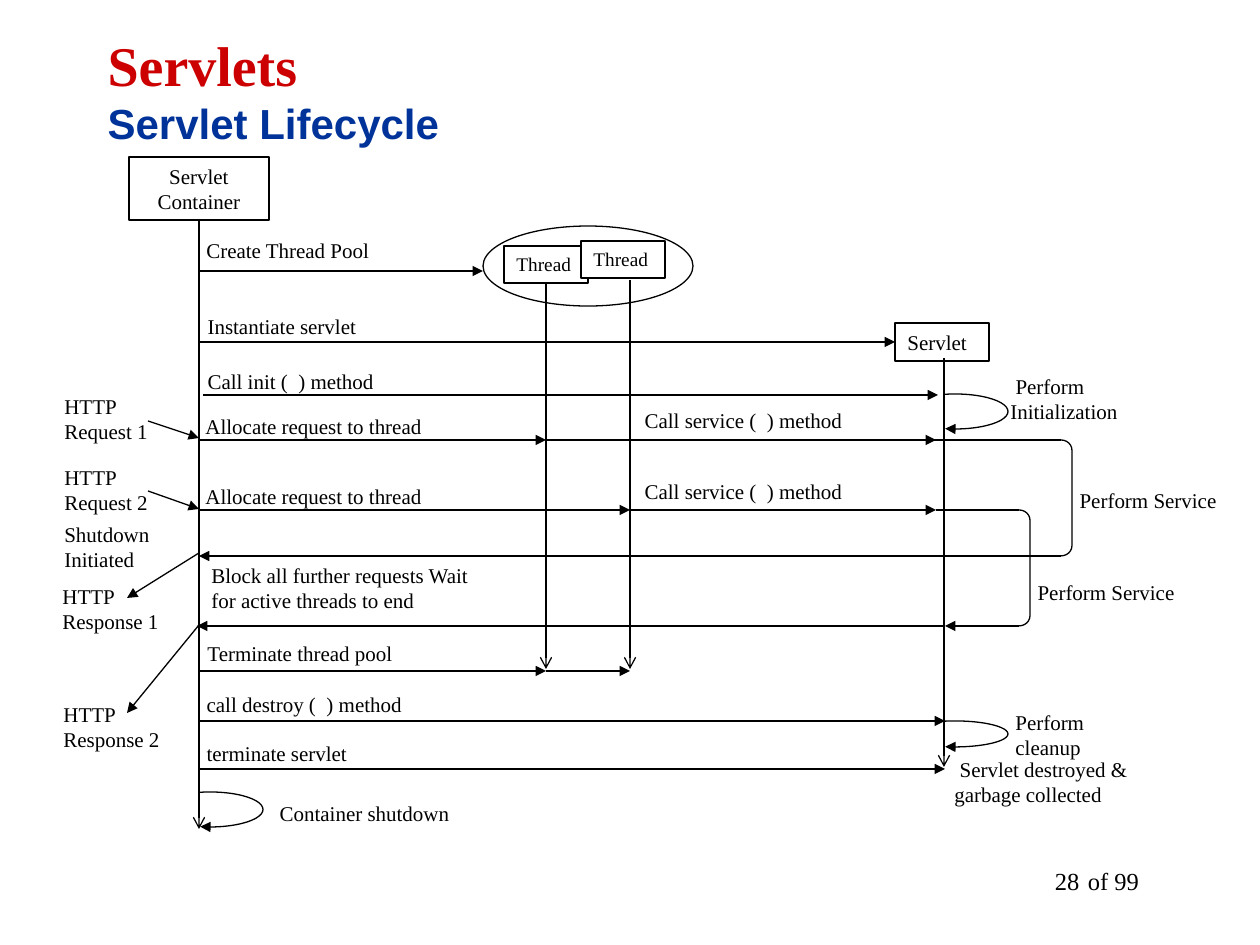
import dataclasses
import math

import lxml.etree
import pptx
import pptx.dml.color
import pptx.enum.shapes
import pptx.enum.text
import pptx.oxml.ns
import pptx.util

SHAPE = pptx.enum.shapes.MSO_SHAPE
ALIGN = pptx.enum.text.PP_ALIGN
FIT = pptx.enum.text.MSO_AUTO_SIZE
ANCHOR = pptx.enum.text.MSO_ANCHOR
qn = pptx.oxml.ns.qn
EMU_PER_PX = 914400 / 126


@dataclasses.dataclass(frozen=True)
class Theme:
    """Colours, fonts and type sizes of the slide."""
    ink: str = "000000"
    paper: str = "FFFFFF"
    heading: str = "CC0000"
    subheading: str = "003399"
    serif: str = "Times New Roman"
    sans: str = "Arial"
    heading_pt: int = 32
    subheading_pt: int = 24
    footer_pt: int = 14
    label_pt: int = 12
    thread_pt: int = 11
    line_pt: float = 0.75


THEME = Theme()


def px(*values):
    """Turn px lengths into EMU."""
    return [pptx.util.Emu(round(v * EMU_PER_PX)) for v in values]


def rgb(code):
    """Return the colour of a hex code."""
    return pptx.dml.color.RGBColor.from_string(code)


def apply(obj, values):
    """Set each attribute of obj named in values."""
    for name, value in values.items():
        setattr(obj, name, value)


def add_run(p, text, size, name=THEME.serif, color=THEME.ink, bold=False):
    """Add a formatted run to a paragraph."""
    r = p.add_run()
    r.text = text
    apply(r.font, {"size": pptx.util.Pt(size), "name": name, "bold": bold})
    r.font.color.rgb = rgb(color)


def write(sp, text, size=THEME.label_pt, align=ALIGN.LEFT, fit=FIT.SHAPE_TO_FIT_TEXT):
    """Write one wrapped paragraph into a shape."""
    tf = sp.text_frame
    apply(tf, {"word_wrap": True, "auto_size": fit, "vertical_anchor": ANCHOR.TOP})
    p = tf.paragraphs[0]
    apply(p, {"alignment": align, "space_before": pptx.util.Pt(size * 0.625)})
    add_run(p, text, size)


def outline(sp, head=None):
    """Give a shape or connector a thin shadowless line and an end arrow."""
    sp.line.color.rgb = rgb(THEME.ink)
    sp.line.width = pptx.util.Pt(THEME.line_pt)
    spPr = sp._element.spPr
    if head:
        lxml.etree.SubElement(spPr.get_or_add_ln(), qn("a:tailEnd"), type=head)
    lxml.etree.SubElement(spPr, qn("a:effectLst"))


def label(s, x, y, w, h, text, **style):
    """Add a text box."""
    write(s.shapes.add_textbox(*px(x, y, w, h)), text, **style)


def preset(s, kind, x, y, w, h, fill=None, head=None):
    """Add an outlined preset shape."""
    sp = s.shapes.add_shape(kind, *px(x, y, w, h))
    if fill:
        sp.fill.solid()
        sp.fill.fore_color.rgb = rgb(fill)
    else:
        sp.fill.background()
    outline(sp, head)
    return sp


def line(s, x1, y1, x2, y2, head=None, begin=None, end=None):
    """Add a straight connector, joined to shapes where given."""
    c = s.shapes.add_connector(
        pptx.enum.shapes.MSO_CONNECTOR.STRAIGHT, *px(x1, y1, x2, y2))
    if begin:
        c.begin_connect(*begin)
    if end:
        c.end_connect(*end)
    outline(c, head)


def self_call(s, x, y, h):
    """Draw a half-ellipse arrow that returns to its lifeline."""
    rx, lead_in, lead_out = 53, 11, 10
    sp = preset(s, SHAPE.ARC, x + lead_in - rx, y, 2 * rx, h, head="triangle")
    start = math.degrees(math.atan2(-h / 2, -lead_in)) + 360
    end = math.degrees(math.atan2(h / 2, -lead_out))
    for i, angle in enumerate((start, end)):
        sp.adjustments[i] = angle * 0.6


def service_bracket(s, x, y):
    """Draw the rounded right end of one service call."""
    sp = preset(s, SHAPE.RIGHT_BRACKET, x, y, 11, 116)
    sp.adjustments[0] = 0.92


def header(s, box):
    """Fill the title placeholder with heading and subheading."""
    sp = s.shapes.title
    apply(sp, dict(zip(("left", "top", "width", "height"), px(*box))))
    tf = sp.text_frame
    apply(tf, {"word_wrap": True, "auto_size": FIT.NONE, "vertical_anchor": ANCHOR.MIDDLE})
    p = tf.paragraphs[0]
    p.alignment = ALIGN.LEFT
    add_run(p, "Servlets", THEME.heading_pt, color=THEME.heading, bold=True)
    p.add_line_break()
    add_run(p, "Servlet Lifecycle", THEME.subheading_pt, THEME.sans,
            THEME.subheading, True)


def footer(s, box):
    """Place the page number and the page count."""
    x, y, w, h = box
    style = {"size": THEME.footer_pt, "fit": FIT.NONE}
    label(s, x + w - 105, y, 105, h, "of 99", align=ALIGN.CENTER, **style)
    label(s, x, y, 189, h, "28", align=ALIGN.RIGHT, **style)


def container_lane(s, box):
    """Draw the container, its lifeline and its shutdown."""
    x, y, w, h = box
    sp = preset(s, SHAPE.RECTANGLE, x, y, w, 63)
    write(sp, "Servlet Container", align=ALIGN.CENTER)
    line(s, x + w // 2, y + 63, x + w // 2, y + h, "arrow", begin=(sp, 2))
    self_call(s, x + w // 2, y + 635, 35)
    label(s, x + 133, y + 637, 210, 38, " Container shutdown")


def thread_pool(s, box):
    """Draw the pool with two threads and their lifelines."""
    x, y, w, h = box
    preset(s, SHAPE.OVAL, x, y, w, 80)
    threads = [preset(s, SHAPE.RECTANGLE, x + dx, y + dy, 84, 37, THEME.paper)
               for dx, dy in ((21, 20), (98, 15))]
    for sp in threads:
        write(sp, "Thread", THEME.thread_pt)
    line(s, x + 63, y + 57, x + 63, y + h, "arrow", begin=(threads[0], 2))
    line(s, x + 147, y + 54, x + 147, y + h, "arrow")


def servlet_lane(s, box):
    """Draw the servlet, its lifeline and its own work; return the servlet."""
    x, y, w, h = box
    servlet = preset(s, SHAPE.RECTANGLE, x, y, w, 38, THEME.paper)
    write(servlet, "Servlet")
    axis = x + 49
    line(s, axis, y + 35, axis, y + h, "arrow")
    for dy, height in ((71, 35), (398, 26)):
        self_call(s, axis, y + dy, height)
    for dx, dy, wide, high, text in (
            (103, 44, 136, 63, " Perform Initialization"),
            (108, 380, 95, 63, "Perform cleanup"),
            (47, 427, 198, 63, " Servlet destroyed & garbage collected")):
        label(s, x + dx, y + dy, wide, high, text)
    for start, right, dy, text, text_dy in (
            (-10, 166, 117, " Perform Service", 158),
            (41 - 0, 124, 187, " Perform Service", 250)):
        service_bracket(s, x + right, y + dy)
        line(s, x + start, y + dy, x + right, y + dy)
        label(s, x + right + 1, y + text_dy, 179, 38, text)
    line(s, x + 29, y + 233, x + 166, y + 233)
    line(s, x + 124, y + 303, x + 50, y + 303, "triangle")
    return servlet


def messages(s, box, servlet):
    """Draw the calls between the lifelines with their labels."""
    x, y, w, h = box
    thread_1, thread_2, end = 347, 431, w - 9
    line(s, x, y + 71, x + 693, y + 71, "triangle", end=(servlet, 1))
    for dy, *stops in (
            (0, 0, 284), (124, 4, end + 2), (169, 0, thread_1, end),
            (239, 0, thread_2, end), (285, w, 0), (355, w - 2, -2),
            (400, 0, thread_1, thread_2), (450, 0, w), (498, 0, w)):
        for a, b in zip(stops, stops[1:]):
            line(s, x + a, y + dy, x + b, y + dy, "triangle")
    for dx, dy, wide, text in (
            (-5, -40, 199, "Create Thread Pool"),
            (-9, 36, 199, " Instantiate servlet"),
            (-9, 91, 199, " Call init (  ) method"),
            (-10, 136, 273, " Allocate request to thread"),
            (-10, 206, 273, " Allocate request to thread"),
            (0, 285, 284, "Block all further requests Wait for active threads to end"),
            (-4, 363, 221, "Terminate thread pool"),
            (-10, 414, 231, " call destroy (  ) method"),
            (-10, 463, 179, " terminate servlet"),
            (428, 130, 231, " Call service (  ) method"),
            (428, 201, 231, " Call service (  ) method")):
        label(s, x + dx, y + dy, wide, 38, text)


def client(s, box):
    """Place the requests and responses left of the container."""
    x, y, w, h = box
    for dx, dy, wide, text in (
            (2, 0, 131, "HTTP Request 1"), (2, 71, 131, "HTTP Request 2"),
            (2, 128, 116, "Shutdown Initiated"), (0, 190, 131, "HTTP Response 1"),
            (1, 308, 131, "HTTP Response 2")):
        label(s, x + dx, y + dy, wide, 63, text)
    for x1, y1, x2, y2 in ((98, 34, w, 51), (98, 104, w, 122),
                           (w, 166, 77, 211), (w, 238, 77, 326)):
        line(s, x + x1, y + y1, x + x2, y + y2, "triangle")


def main():
    """Build and save the slide."""
    prs = pptx.Presentation()
    prs.slide_width, prs.slide_height = px(1260, 945)
    s = prs.slides.add_slide(prs.slide_layouts[5])
    header(s, (95, 10, 1071, 158))
    footer(s, (903, 860, 263, 63))
    container_lane(s, (129, 157, 140, 672))
    thread_pool(s, (483, 226, 210, 443))
    servlet = servlet_lane(s, (895, 323, 94, 444))
    messages(s, (199, 271, 746, 498), servlet)
    client(s, (50, 387, 149, 371))
    prs.save("out.pptx")


if __name__ == "__main__":
    main()
